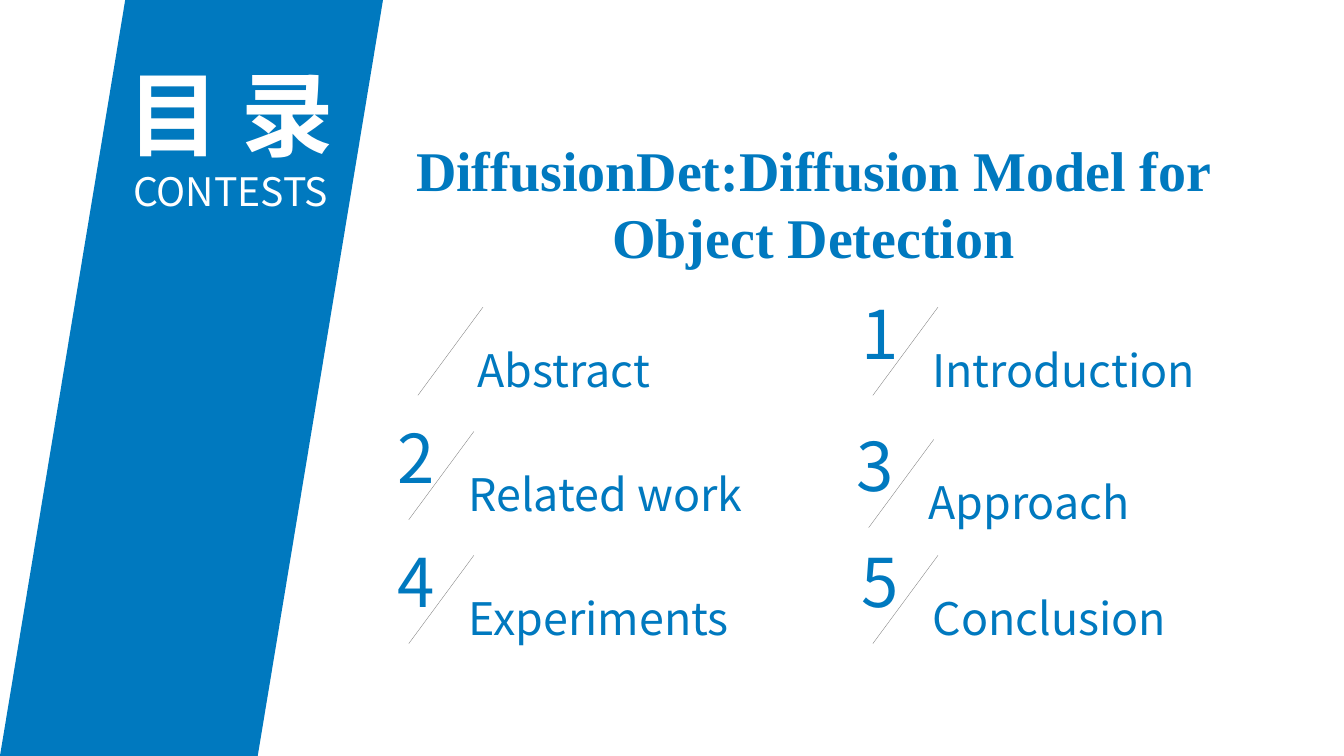
import pptx
import pptx.dml.color
import pptx.enum.shapes
import pptx.enum.text
import pptx.oxml.ns
import pptx.util
import lxml.etree

Pt = pptx.util.Pt
ALIGN = pptx.enum.text.PP_ALIGN
ANCHOR = pptx.enum.text.MSO_ANCHOR
FIT = pptx.enum.text.MSO_AUTO_SIZE

BLUE = pptx.dml.color.RGBColor(0x00, 0x79, 0xBF)
WHITE = pptx.dml.color.RGBColor(0xFF, 0xFF, 0xFF)
GRAY = pptx.dml.color.RGBColor(0x80, 0x80, 0x80)

SECTIONS = [
    ("", "Abstract", 283, 205),
    ("1", "Introduction", 608, 205),
    ("2", "Related work", 276.5, 293.8),
    ("3", "Approach", 605, 299.5),
    ("4", "Experiments", 276.5, 382.3),
    ("5", "Conclusion", 608, 382.3),
]


class AgendaPage:
    sans = "Noto Sans CJK SC"
    serif = "Times New Roman"

    def __init__(self, deck):
        self.page = deck.slides.add_slide(deck.slide_layouts[5])

    def format(self, para, size, color, face, bold=False, align=ALIGN.LEFT):
        para.alignment = align
        for span in para.runs:
            span.font.size = Pt(size)
            span.font.bold = bold
            span.font.name = face
            span.font.color.rgb = color
            latin = span.font._element.find(pptx.oxml.ns.qn("a:latin"))
            east_asian = lxml.etree.Element(pptx.oxml.ns.qn("a:ea"), typeface=face)
            latin.addnext(east_asian)

    def place(self, box, left, top, width, height):
        box.left, box.top = Pt(left), Pt(top)
        box.width, box.height = Pt(width), Pt(height)

    def title(self, text, left, top, width, height):
        box = self.page.shapes.title
        self.place(box, left, top, width, height)
        frame = box.text_frame
        frame.text = text
        frame.word_wrap = True
        frame.auto_size = FIT.SHAPE_TO_FIT_TEXT
        frame.vertical_anchor = ANCHOR.TOP
        self.format(frame.paragraphs[0], 40, BLUE, self.serif, True, ALIGN.CENTER)

    def band(self, left, top, width, height):
        box = self.page.shapes.add_shape(
            pptx.enum.shapes.MSO_SHAPE.PARALLELOGRAM,
            Pt(left), Pt(top), Pt(width), Pt(height))
        box.adjustments[0] = 0.327 * width / min(width, height) if width > height else 0.327 * 1.0
        box.adjustments[0] = 0.327
        box.shadow.inherit = False
        box.fill.solid()
        box.fill.fore_color.rgb = BLUE
        box.line.fill.background()

    def heading(self, text, subtitle, left, top, width, height):
        box = self.page.shapes.add_textbox(Pt(left), Pt(top), Pt(width), Pt(height))
        frame = box.text_frame
        frame.text = f"{text}\n{subtitle}"
        frame.word_wrap = True
        frame.vertical_anchor = ANCHOR.MIDDLE
        self.format(frame.paragraphs[0], 66, WHITE, self.sans, True, ALIGN.CENTER)
        self.format(frame.paragraphs[1], 28, WHITE, self.sans, False, ALIGN.CENTER)

    def label(self, group, text, size, left, top, width, height, wrap):
        box = group.shapes.add_textbox(Pt(left), Pt(top), Pt(width), Pt(height))
        frame = box.text_frame
        frame.text = text
        frame.word_wrap = wrap
        frame.auto_size = FIT.SHAPE_TO_FIT_TEXT
        self.format(frame.paragraphs[0], size, BLUE, self.sans)

    def slash(self, group, left, top, width, height):
        line = group.shapes.add_connector(
            pptx.enum.shapes.MSO_CONNECTOR.STRAIGHT,
            Pt(left + width), Pt(top), Pt(left), Pt(top + height))
        line.line.color.rgb = GRAY
        line.line.width = Pt(0.25)
        properties = line._element.spPr
        lxml.etree.SubElement(properties, pptx.oxml.ns.qn("a:effectLst"))

    def section(self, number, name, left, top):
        group = self.page.shapes.add_group_shape()
        if number:
            self.label(group, number, 48, left, top, 43, 65.4, False)
        self.slash(group, left + 15.5, top + 14.4, 46.5, 63)
        self.label(group, name, 32, left + 51, top + 36, 334, 46, True)


def main():
    deck = pptx.Presentation()
    deck.slide_width, deck.slide_height = Pt(960), Pt(540)
    agenda = AgendaPage(deck)
    agenda.title("DiffusionDet:Diffusion Model for Object Detection", 276.5, 93, 609, 104.4)
    agenda.band(0, 0, 273.6, 540)
    agenda.heading("目 录", "CONTESTS", 70.5, 45.4, 188.6, 103)
    for section in SECTIONS:
        agenda.section(*section)
    deck.save("out.pptx")


if __name__ == "__main__":
    main()
